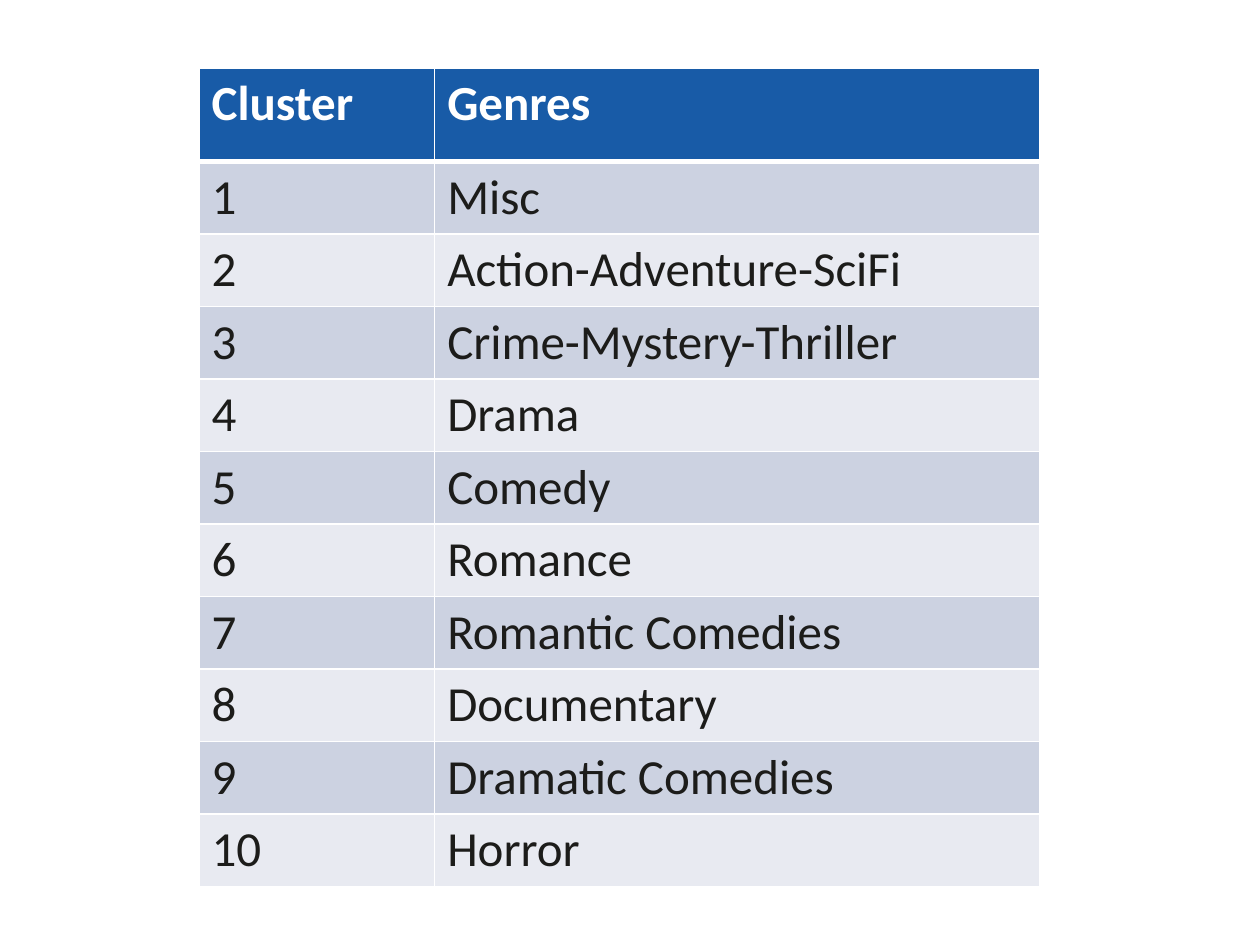
"""Build a slide with a table of film genre clusters."""
from lxml import etree
from pptx import Presentation
from pptx.dml.color import RGBColor
from pptx.oxml.ns import qn
from pptx.util import Inches, Pt

HEADS = ("Cluster", "Genres")
GENRES = [
    "Misc",
    "Action-Adventure-SciFi",
    "Crime-Mystery-Thriller",
    "Drama",
    "Comedy",
    "Romance",
    "Romantic Comedies",
    "Documentary",
    "Dramatic Comedies",
    "Horror",
]
THEME = {
    "head": "185BA7",
    "bands": ("CCD2E1", "E8EAF1"),
    "rule": "FFFFFF",
    "thin": 1,
    "thick": 3,
    "head font": {"name": "Calibri", "size": Pt(28), "bold": True},
    "body font": {"name": "Calibri", "size": Pt(28), "bold": False},
    "head text": "FFFFFF",
    "body text": "1C1C1A",
}
SIZE = (10, 7.5)
LEFT, TOP = 1.58, 0.54
COLS = (1.87, 4.8)
HEAD_ROW, BODY_ROW = 0.74, 0.57


def add_rules(cell, row):
    """Draw the four borders of a cell, thick beneath the heading."""
    props = cell._tc.get_or_add_tcPr()
    heavy = {(0, "lnB"), (1, "lnT")}
    for side in ("lnL", "lnR", "lnT", "lnB"):
        width = THEME["thick" if (row, side) in heavy else "thin"]
        line = etree.SubElement(props, qn(f"a:{side}"), w=str(Pt(width)))
        fill = etree.SubElement(line, qn("a:solidFill"))
        etree.SubElement(fill, qn("a:srgbClr"), val=THEME["rule"])


def fill_cell(cell, row, text):
    """Set the text, font, borders and fill of a cell."""
    part = "body" if row else "head"
    shade = THEME["bands"][(row - 1) % 2] if row else THEME["head"]
    add_rules(cell, row)
    cell.fill.solid()
    cell.fill.fore_color.rgb = RGBColor.from_string(shade)
    run = cell.text_frame.paragraphs[0].add_run()
    run.text = text
    for key, value in THEME[f"{part} font"].items():
        setattr(run.font, key, value)
    run.font.color.rgb = RGBColor.from_string(THEME[f"{part} text"])


def main():
    """Lay out the table and save the deck."""
    deck = Presentation()
    deck.slide_width, deck.slide_height = map(Inches, SIZE)
    slide = deck.slides.add_slide(deck.slide_layouts[6])
    rows = [HEADS] + [(str(n), name) for n, name in enumerate(GENRES, 1)]
    highs = [HEAD_ROW] + [BODY_ROW] * len(GENRES)
    box = map(Inches, (LEFT, TOP, sum(COLS), sum(highs)))
    table = slide.shapes.add_table(len(rows), len(COLS), *box).table
    for col, width in zip(table.columns, COLS):
        col.width = Inches(width)
    for r, (high, texts) in enumerate(zip(highs, rows)):
        table.rows[r].height = Inches(high)
        for c, text in enumerate(texts):
            fill_cell(table.cell(r, c), r, text)
    deck.save("out.pptx")


if __name__ == "__main__":
    main()
